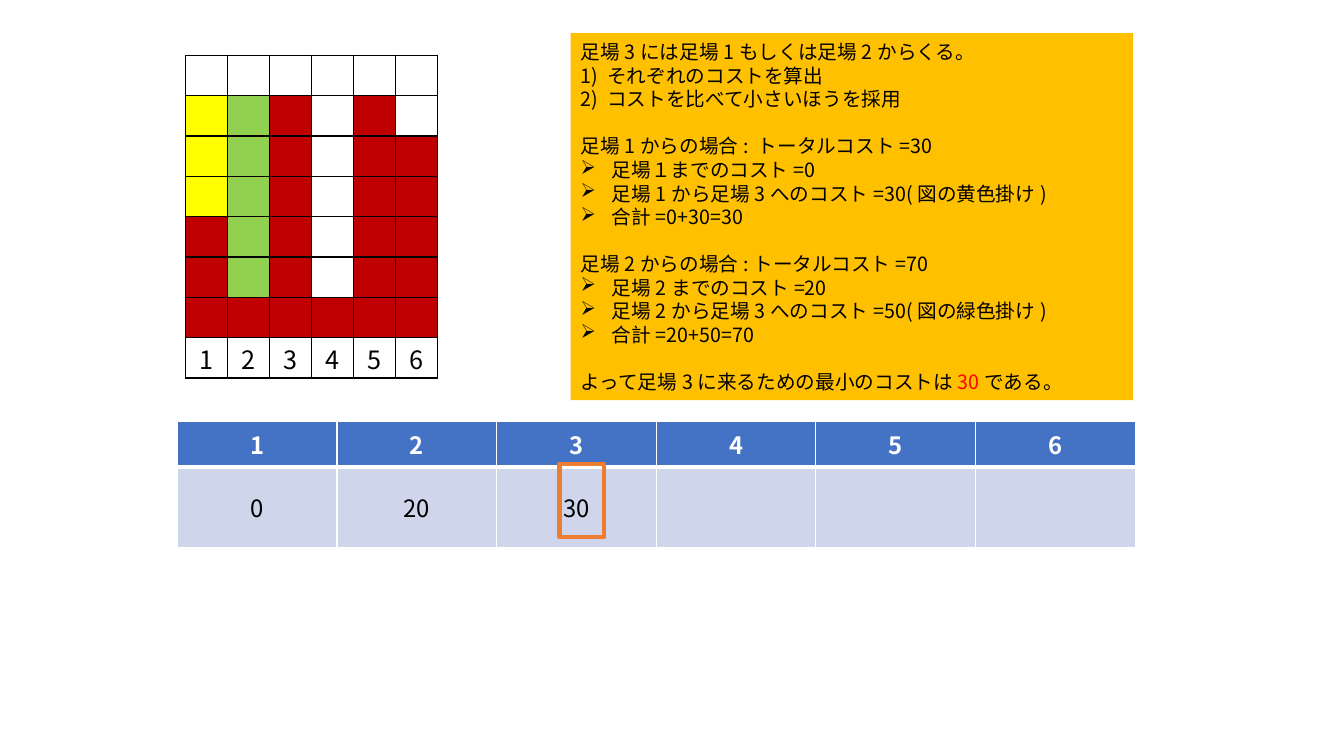
from lxml.etree import SubElement
from pptx import Presentation
from pptx.dml.color import RGBColor
from pptx.enum.shapes import MSO_SHAPE
from pptx.enum.text import MSO_ANCHOR, PP_ALIGN
from pptx.oxml.ns import qn
from pptx.util import Inches, Pt

FONT = "Noto Sans CJK JP"
COLORS = {
    "black": "000000", "white": "FFFFFF", "header": "4472C4", "body": "CFD5EA",
    "note": "FFC000", "marker": "ED7D31", "result": "FF0000",
    "wall": "C00000", "yellow": "FFFF00", "green": "92D050",
}
SCAFFOLD_ROWS = ["......", "YGR.R.", "YGR.RR", "YGR.RR", "RGR.RR", "RGR.RR", "RRRRRR"]
SCAFFOLD_FILLS = {"Y": "yellow", "G": "green", "R": "wall"}
STEPS = [str(step) for step in range(1, 7)]
COSTS = ["0", "20", "30", "", "", ""]
NOTE_LINE = Pt(16.8)
NOTE_SECTIONS = [
    ["足場3には足場1もしくは足場2からくる。",
     "1) それぞれのコストを算出",
     "2) コストを比べて小さいほうを採用"],
    ["足場1からの場合: トータルコスト=30",
     "➢足場１までのコスト=0",
     "➢足場1から足場3へのコスト=30(図の黄色掛け)",
     "➢合計=0+30=30"],
    ["足場2からの場合:トータルコスト=70",
     "➢足場2までのコスト=20",
     "➢足場2から足場3へのコスト=50(図の緑色掛け)",
     "➢合計=20+50=70"],
    ["よって足場3に来るための最小のコストは|30|である。"],
]


def rgb(name):
    return RGBColor.from_string(COLORS[name])


def style_paragraph(paragraph, size, color="black", bold=False):
    font = paragraph.font
    font.name, font.size, font.bold = FONT, Pt(size), bold
    font.color.rgb = rgb(color)
    defaults = paragraph._p.pPr.find(qn("a:defRPr"))
    SubElement(defaults, qn("a:ea"), typeface=FONT)


def add_bullet(paragraph, character):
    properties = paragraph._p.get_or_add_pPr()
    properties.set("marL", str(Inches(0.31)))
    properties.set("indent", str(Inches(-0.31)))
    SubElement(properties, qn("a:buChar"), char=character)


def style_cell(cell, border, fill=None, bottom_width=1):
    """Draw the cell's four borders, then its fill."""
    properties = cell._tc.get_or_add_tcPr()
    for side in "LRTB":
        width = bottom_width if side == "B" else 1
        line = SubElement(properties, qn(f"a:ln{side}"), w=str(Pt(width)))
        solid = SubElement(line, qn("a:solidFill"))
        SubElement(solid, qn("a:srgbClr"), val=COLORS[border])
    if fill:
        cell.fill.solid()
        cell.fill.fore_color.rgb = rgb(fill)
    else:
        cell.fill.background()


def write_cell(cell, text, size, color="black", bold=False):
    paragraph = cell.text_frame.paragraphs[0]
    paragraph.text = text
    paragraph.alignment = PP_ALIGN.CENTER
    style_paragraph(paragraph, size, color, bold)


def add_plain_table(slide, box, row_heights, column_count):
    left, top, width, height = map(Inches, box)
    table = slide.shapes.add_table(
        len(row_heights), column_count, left, top, width, height).table
    table.first_row = table.horz_banding = False
    for row, row_height in zip(table.rows, row_heights):
        row.height = Inches(row_height)
    for column in table.columns:
        column.width = Inches(box[2] / column_count)
    return table


def add_cost_table(slide, box):
    table = add_plain_table(slide, box, [0.45, box[3] - 0.45], len(STEPS))
    for column, (step, cost) in enumerate(zip(STEPS, COSTS)):
        header, body = table.cell(0, column), table.cell(1, column)
        style_cell(header, "white", "header", bottom_width=3)
        write_cell(header, step, 17, "white", bold=True)
        style_cell(body, "white", "body")
        body.vertical_anchor = MSO_ANCHOR.MIDDLE
        if cost:
            write_cell(body, cost, 17)


def add_scaffold_grid(slide, box):
    row_count = len(SCAFFOLD_ROWS) + 1
    table = add_plain_table(slide, box, [box[3] / row_count] * row_count, len(STEPS))
    for cell in table.iter_cells():
        cell.margin_top, cell.margin_bottom = Inches(0.03), 0
    for row, codes in enumerate(SCAFFOLD_ROWS):
        for column, code in enumerate(codes):
            style_cell(table.cell(row, column), "black", SCAFFOLD_FILLS.get(code))
    for column, step in enumerate(STEPS):
        label = table.cell(row_count - 1, column)
        style_cell(label, "black")
        write_cell(label, step, 18)


def add_rectangle(slide, box):
    shape = slide.shapes.add_shape(MSO_SHAPE.RECTANGLE, *map(Inches, box))
    shape.shadow.inherit = False
    return shape


def add_marker(slide, box):
    shape = add_rectangle(slide, box)
    shape.fill.background()
    shape.line.color.rgb = rgb("marker")
    shape.line.width = Pt(3)


def add_explanation(slide, box):
    shape = add_rectangle(slide, box)
    shape.fill.solid()
    shape.fill.fore_color.rgb = rgb("note")
    shape.line.fill.background()
    frame = shape.text_frame
    frame.word_wrap = True
    frame.vertical_anchor = MSO_ANCHOR.MIDDLE
    paragraph = frame.paragraphs[0]
    for section_index, section in enumerate(NOTE_SECTIONS):
        for line_index, line in enumerate(section):
            if section_index or line_index:
                paragraph = frame.add_paragraph()
            paragraph.alignment = PP_ALIGN.LEFT
            paragraph.line_spacing = NOTE_LINE
            if section_index and not line_index:
                paragraph.space_before = NOTE_LINE
            if line.startswith("➢"):
                add_bullet(paragraph, "➢")
            style_paragraph(paragraph, 14)
            for part_index, part in enumerate(line.lstrip("➢").split("|")):
                run = paragraph.add_run()
                run.text = part
                if part_index == 1:
                    run.font.color.rgb = rgb("result")


def main():
    presentation = Presentation()
    presentation.slide_width = Inches(13.33)
    presentation.slide_height = Inches(7.5)
    slide = presentation.slides.add_slide(presentation.slide_layouts[6])
    add_cost_table(slide, (1.76, 4.18, 9.5, 1.25))
    add_marker(slide, (5.55, 4.6, 0.44, 0.73))
    add_explanation(slide, (5.66, 0.33, 5.58, 3.64))
    add_scaffold_grid(slide, (1.84, 0.55, 2.5, 3.2))
    presentation.save("out.pptx")


if __name__ == "__main__":
    main()
